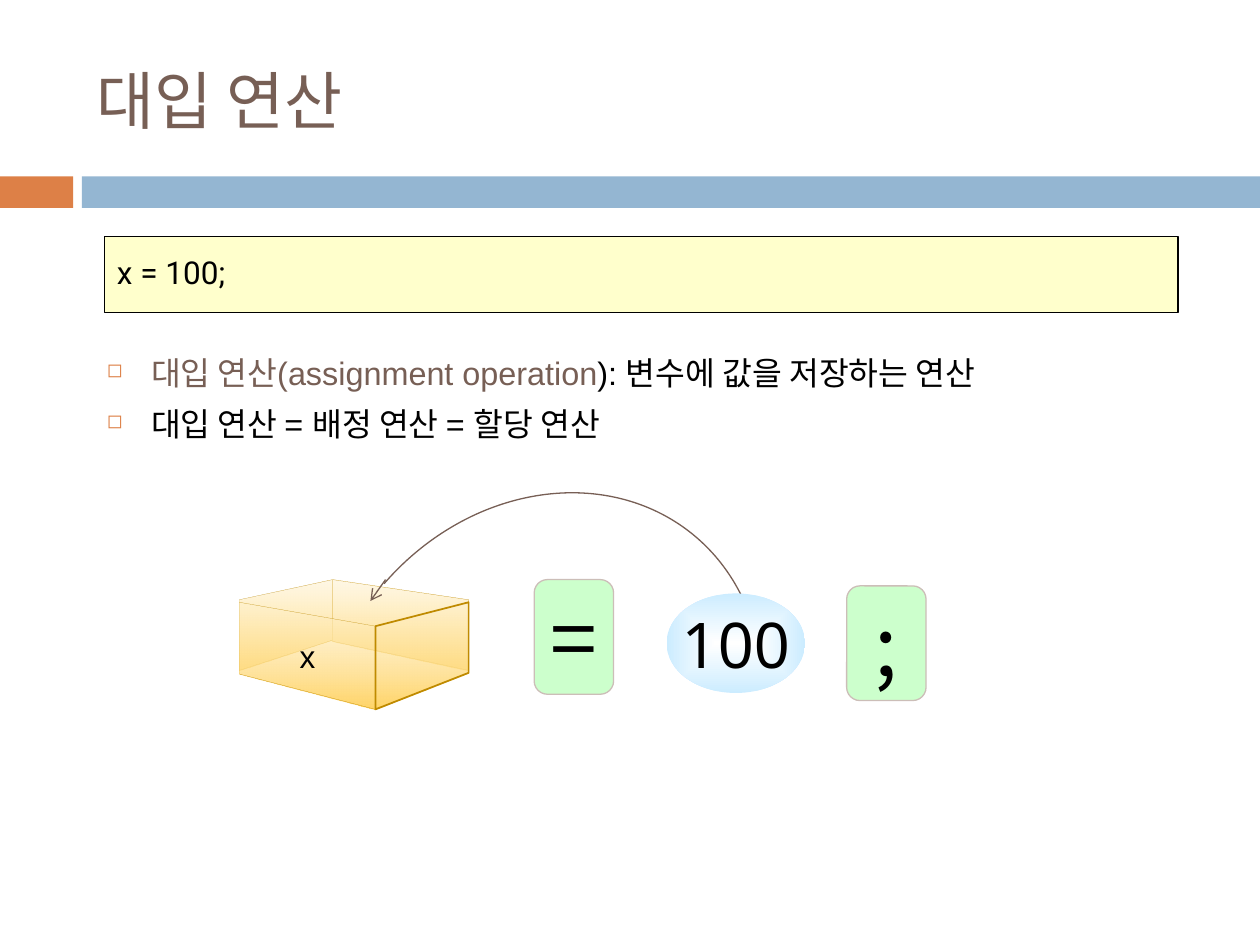
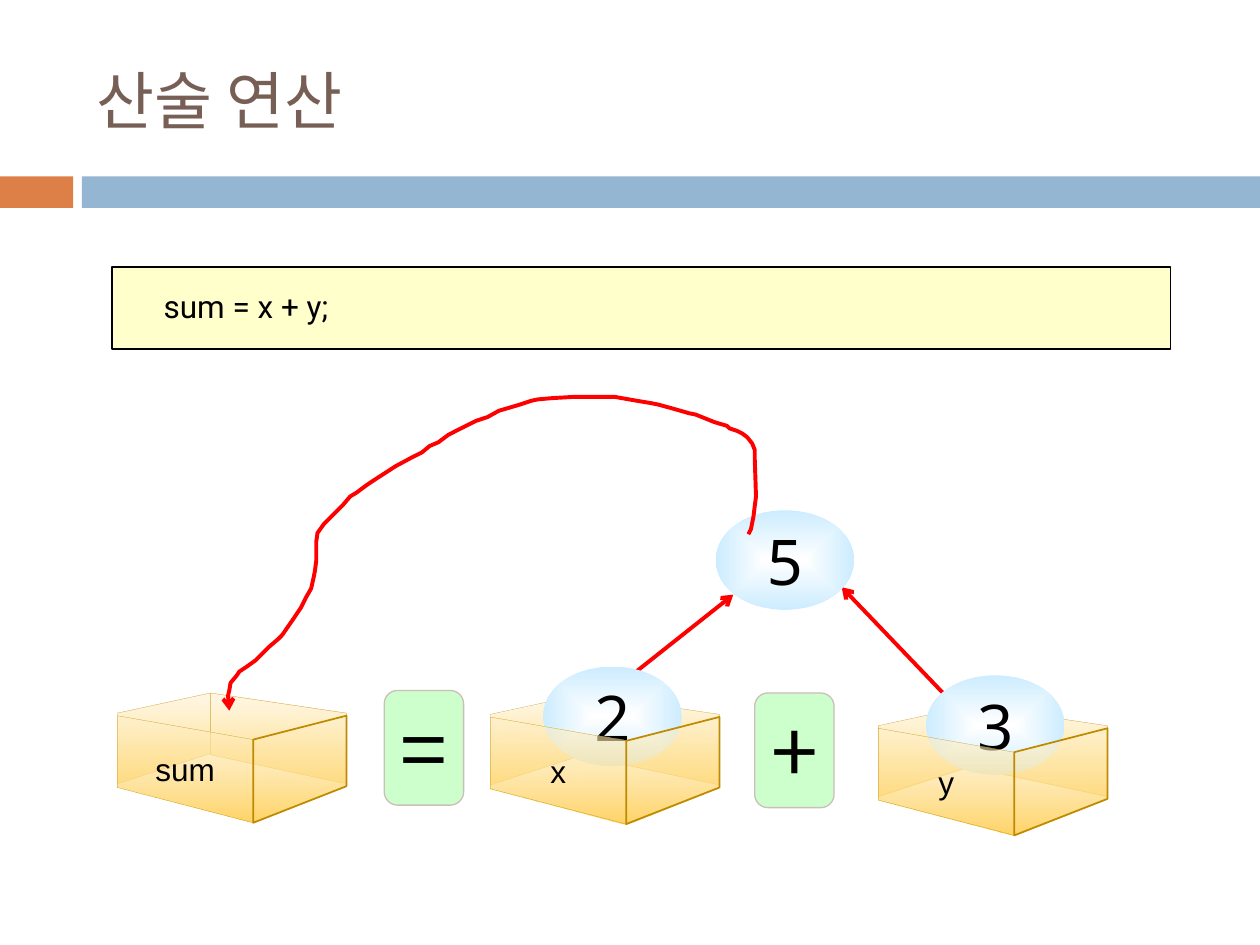
from dataclasses import dataclass
from typing import Optional

from lxml.etree import SubElement
from pptx import Presentation
from pptx.dml.color import RGBColor
from pptx.enum.shapes import MSO_CONNECTOR, MSO_SHAPE
from pptx.enum.text import MSO_ANCHOR, PP_ALIGN
from pptx.oxml.ns import qn
from pptx.util import Inches, Pt

COLORS = {
    "title": "775F55",
    "orange": "DD8047",
    "blue": "94B6D2",
    "black": "000000",
    "code": "FFFFCC",
    "operator": "CCFFCC",
    "operator_line": "CCBEB8",
    "white": "FFFFFF",
    "value": "CCECFF",
    "box_light": "FFF1CC",
    "box_dark": "FFD466",
    "box_line": "BF8A00",
    "red": "FF0000",
}
KOREAN = "Noto Sans CJK KR"

Point = tuple[float, float]


@dataclass
class Face:
    """One side of an open box, with corners relative to the box origin."""
    corners: list[Point]
    line_width: float = 0.1


BACK_FACES = [
    Face([(0.74, 0), (0.74, 0.49), (1.82, 0.72), (1.82, 0.16)]),
    Face([(0, 0.72), (0.74, 0.48), (0.74, 0), (0, 0.16)]),
]
LABEL_FACE = Face([(0, 0.18), (0, 0.75), (1.08, 1.03), (1.08, 0.37)])
SIDE_FACE = Face([(1.08, 1.03), (1.82, 0.74), (1.82, 0.18), (1.08, 0.37)], 1)


@dataclass
class Box:
    name: str
    x: float
    y: float


@dataclass
class Token:
    """An operator or a value, placed by its top left corner."""
    text: str
    x: float
    y: float


RESULT_PATH: list[Point] = [
    (5.94, 4.24), (5.96, 4.2), (5.98, 4.1), (5.99, 4.02), (6, 3.94),
    (5.99, 3.63), (5.99, 3.57), (5.97, 3.52), (5.93, 3.47), (5.89, 3.44),
    (5.85, 3.42), (5.79, 3.4), (5.77, 3.38), (5.67, 3.35), (5.52, 3.29),
    (5.47, 3.28), (5.33, 3.24), (5.22, 3.21), (5.17, 3.2), (5.05, 3.18),
    (4.88, 3.15), (4.72, 3.15), (4.55, 3.15), (4.38, 3.16), (4.27, 3.17),
    (4.22, 3.18), (4.13, 3.21), (3.96, 3.26), (3.87, 3.31), (3.78, 3.34),
    (3.62, 3.42), (3.56, 3.45), (3.48, 3.51), (3.41, 3.54), (3.35, 3.59),
    (3.27, 3.63), (3.14, 3.7), (2.97, 3.81), (2.91, 3.85), (2.83, 3.91),
    (2.78, 3.94), (2.72, 4.01), (2.62, 4.11), (2.57, 4.16), (2.52, 4.23),
    (2.51, 4.3), (2.51, 4.45), (2.5, 4.53), (2.49, 4.58), (2.47, 4.67),
    (2.43, 4.74), (2.39, 4.82), (2.33, 4.91), (2.24, 5.04), (2.21, 5.07),
    (2.14, 5.13), (2.03, 5.24), (1.96, 5.29), (1.9, 5.33), (1.88, 5.36),
    (1.83, 5.42), (1.82, 5.48), (1.81, 5.52), (1.82, 5.64),
]


def rgb(name: str) -> RGBColor:
    return RGBColor.from_string(COLORS[name])


def style(shape, fill: Optional[str] = None, line: Optional[str] = None,
          width: float = 0.75) -> None:
    """Set a flat fill and outline, where no name means none."""
    shape.shadow.inherit = False
    if fill:
        shape.fill.solid()
        shape.fill.fore_color.rgb = rgb(fill)
    else:
        shape.fill.background()
    if line:
        shape.line.color.rgb = rgb(line)
        shape.line.width = Pt(width)
    else:
        shape.line.fill.background()


def fade(shape, colors: tuple[str, str]) -> None:
    """Fill with a two-colour gradient."""
    shape.fill.gradient()
    for stop, position, color in zip(shape.fill.gradient_stops, (0, 1), colors):
        stop.position = position
        stop.color.rgb = rgb(color)


def add_arrowhead(shape) -> None:
    SubElement(shape.line._get_or_add_ln(), qn("a:tailEnd"), type="arrow")


def format_run(r, font: str, size: float, color: str = "black") -> None:
    r.font.name = font
    r.font.size = Pt(size)
    r.font.color.rgb = rgb(color)
    SubElement(r._r.get_or_add_rPr(), qn("a:ea"), typeface=KOREAN)


def set_text(shape, text: str, font: str, size: float, color: str = "black",
             align: PP_ALIGN = PP_ALIGN.CENTER, wrap: bool = False):
    """Fill a shape with one formatted paragraph and return that paragraph."""
    tf = shape.text_frame
    tf.text = text
    tf.word_wrap = wrap
    tf.vertical_anchor = MSO_ANCHOR.MIDDLE
    p = tf.paragraphs[0]
    p.alignment = align
    format_run(p.runs[0], font, size, color)
    return p


def add_preset(s, kind: MSO_SHAPE, x: float, y: float, w: float, h: float):
    return s.shapes.add_shape(kind, Inches(x), Inches(y), Inches(w), Inches(h))


def add_outline(s, points: list[Point], close: bool):
    start, *rest = [(Inches(x), Inches(y)) for x, y in points]
    builder = s.shapes.build_freeform(*start)
    builder.add_line_segments(rest, close=close)
    return builder.convert_to_shape()


def add_base_slide(prs, title: str, font: str):
    """Add a slide with the coloured bands and a title."""
    s = prs.slides.add_slide(prs.slide_layouts[6])
    for x, w, color in ((0, 0.58, "orange"), (0.65, 9.35, "blue")):
        style(add_preset(s, MSO_SHAPE.RECTANGLE, x, 1.4, w, 0.25), color)
    box = s.shapes.add_textbox(Inches(0.67), Inches(0.25), Inches(8.92), Inches(1.08))
    set_text(box, title, font, 36, "title", PP_ALIGN.LEFT, True)
    return s


def add_code(s, code: str, x: float, y: float, w: float, h: float,
             indent: float = 0) -> None:
    sp = add_preset(s, MSO_SHAPE.RECTANGLE, x, y, w, h)
    style(sp, "code", "black")
    p = set_text(sp, code, "Roboto", 18, align=PP_ALIGN.LEFT, wrap=True)
    p.line_spacing = 0.9
    p._p.get_or_add_pPr().set("marL", str(Inches(indent)))


def add_bullets(s, items: list[list[tuple[str, str]]]) -> None:
    """Add a bulleted list whose items are lists of (text, colour)."""
    box = s.shapes.add_textbox(Inches(0.75), Inches(2.75), Inches(8.98), Inches(0.79))
    tf = box.text_frame
    tf.word_wrap = True
    for i, item in enumerate(items):
        p = tf.add_paragraph() if i else tf.paragraphs[0]
        p.space_before = Pt(7)
        for text, color in item:
            r = p.add_run()
            r.text = text
            format_run(r, "Arial", 18.5, color)
        pPr = p._p.get_or_add_pPr()
        pPr.set("marL", str(Inches(0.35)))
        pPr.set("indent", str(Inches(-0.35)))
        bullet_color = SubElement(pPr, qn("a:buClr"))
        SubElement(bullet_color, qn("a:srgbClr"), val=COLORS["orange"])
        SubElement(pPr, qn("a:buSzPct"), val="60000")
        SubElement(pPr, qn("a:buChar"), char="◻")


def add_operator(s, token: Token) -> None:
    sp = add_preset(s, MSO_SHAPE.ROUNDED_RECTANGLE, token.x, token.y, 0.63, 0.91)
    style(sp, "operator", "operator_line")
    set_text(sp, token.text, KOREAN, 48)


def add_value(s, token: Token) -> None:
    """Add an ellipse that fades outwards from a white centre."""
    sp = add_preset(s, MSO_SHAPE.OVAL, token.x, token.y, 1.1, 0.79)
    style(sp)
    fade(sp, ("white", "value"))
    gradient = sp._element.spPr.find(qn("a:gradFill"))
    gradient.remove(gradient.find(qn("a:lin")))
    shade = SubElement(gradient, qn("a:path"))
    shade.set("path", "shape")
    SubElement(shade, qn("a:fillToRect"), dict.fromkeys("ltrb", "50000"))
    set_text(sp, token.text, "Noto Sans", 36)


def add_face(s, box: Box, face: Face):
    sp = add_outline(s, [(box.x + x, box.y + y) for x, y in face.corners], True)
    style(sp, line="box_line", width=face.line_width)
    fade(sp, ("box_light", "box_dark"))
    sp.fill.gradient_angle = 270
    first_color = next(sp._element.spPr.find(qn("a:gradFill")).iter(qn("a:srgbClr")))
    SubElement(first_color, qn("a:alpha"), val="50000")
    return sp


def add_box_back(s, box: Box) -> None:
    for face in BACK_FACES:
        add_face(s, box, face)


def add_box_front(s, box: Box) -> None:
    set_text(add_face(s, box, LABEL_FACE), box.name, "Arial", 18)
    add_face(s, box, SIDE_FACE)


def add_arrow(s, start: Point, end: Point, color: str, width: float) -> None:
    ends = [Inches(v) for v in (*start, *end)]
    c = s.shapes.add_connector(MSO_CONNECTOR.STRAIGHT, *ends)
    c.line.color.rgb = rgb(color)
    c.line.width = Pt(width)
    add_arrowhead(c)
    SubElement(c._element.spPr, qn("a:effectLst"))


def add_assignment_slide(prs) -> None:
    s = add_base_slide(prs, "대입 연산", KOREAN)
    add_bullets(s, [
        [("대입 연산(assignment operation", "title"),
         ("): 변수에 값을 저장하는 연산", "black")],
        [("대입 연산 = 배정 연산 = 할당 연산", "black")],
    ])
    add_code(s, "x = 100;", 0.83, 1.88, 8.52, 0.6)
    box = Box("x", 1.9, 4.6)
    add_box_back(s, box)
    for token in (Token("=", 4.24, 4.6), Token(";", 6.72, 4.65)):
        add_operator(s, token)
    arc = add_preset(s, MSO_SHAPE.ARC, 2.38, 4.07, 3.82, 3.3)
    arc.rotation = 309.6
    arc.adjustments[0] = 162.97
    arc.adjustments[1] = 11.43
    style(arc, line="title")
    add_arrow(s, (3.06, 4.6), (2.94, 4.77), "title", 0.75)
    add_value(s, Token("100", 5.29, 4.71))
    add_box_front(s, box)


def add_arithmetic_slide(prs) -> None:
    s = add_base_slide(prs, "산술 연산", "Cabin")
    for start, end in (((7.58, 5.6), (6.68, 4.66)), ((4.86, 5.48), (5.82, 4.72))):
        add_arrow(s, start, end, "red", 2.25)
    total, left, right = Box("sum", 0.93, 5.5), Box("x", 3.89, 5.51), Box("y", 6.97, 5.6)
    for box in (total, left, right):
        add_box_back(s, box)
    for token in (Token("=", 3.05, 5.48), Token("+", 5.99, 5.5)):
        add_operator(s, token)
    add_value(s, Token("5", 5.68, 4.05))
    add_box_front(s, total)
    for box, token in ((right, Token("3", 7.35, 5.36)), (left, Token("2", 4.31, 5.29))):
        add_value(s, token)
        add_box_front(s, box)
    add_code(s, "sum = x + y;", 0.89, 2.12, 8.4, 0.65, 0.31)
    curve = add_outline(s, RESULT_PATH, False)
    style(curve, line="red", width=2.25)
    add_arrowhead(curve)


def main() -> None:
    prs = Presentation()
    prs.slide_width = Inches(10)
    prs.slide_height = Inches(7.5)
    add_assignment_slide(prs)
    add_arithmetic_slide(prs)
    prs.save("out.pptx")


if __name__ == "__main__":
    main()
